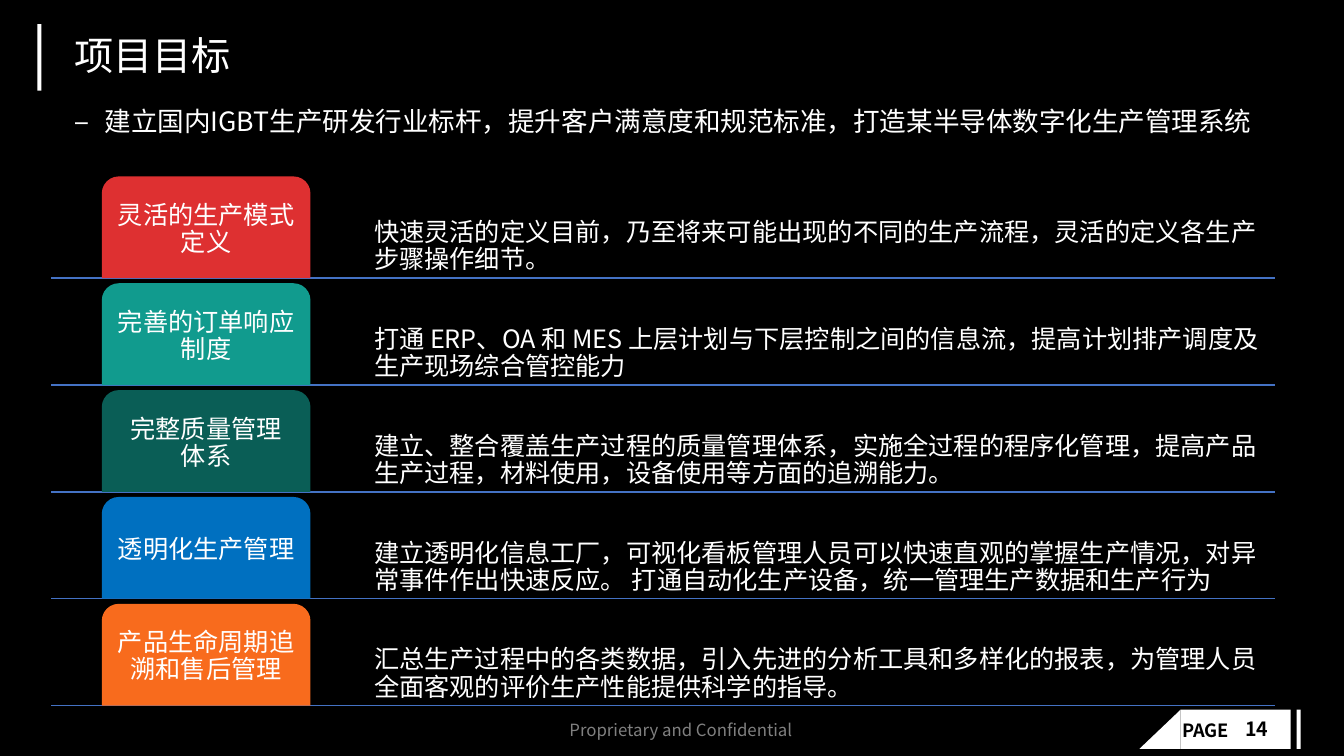
import pptx
import pptx.util
import pptx.dml.color
import pptx.enum.shapes
import pptx.enum.text
import pptx.oxml.ns
from lxml import etree

FONT = "Noto Sans CJK SC"
COLORS = {"black": "000000", "white": "FFFFFF", "gray": "808080", "rule": "4472C4",
          "red": "DE3031", "teal": "119B8E", "green": "0A5E56",
          "blue": "0070C0", "orange": "F86B1D"}
inch = pptx.util.Inches
rgb = pptx.dml.color.RGBColor.from_string
qn = pptx.oxml.ns.qn
MSO = pptx.enum.shapes.MSO_SHAPE
ANCHOR = pptx.enum.text.MSO_ANCHOR
ALIGN = pptx.enum.text.PP_ALIGN

prs = pptx.Presentation()
prs.slide_width, prs.slide_height = inch(13.33), inch(7.5)
s = prs.slides.add_slide(prs.slide_layouts[6])
s.background.fill.solid()
s.background.fill.fore_color.rgb = rgb(COLORS["black"])


def add_block(kind, box, color):
    sp = s.shapes.add_shape(kind, *map(inch, box))
    sp.shadow.inherit = False
    sp.fill.solid()
    sp.fill.fore_color.rgb = rgb(COLORS[color])
    sp.line.fill.background()
    return sp


def add_text(text, box, size, color="white", bold=None, anchor=ANCHOR.TOP, align=ALIGN.LEFT,
             margins=(0.1, 0.05, 0.1, 0.05), spacing=None, wrap=True):
    """Add a one-paragraph text box; margins run left, top, right, bottom in inches."""
    tf = s.shapes.add_textbox(*map(inch, box)).text_frame
    tf.word_wrap = wrap
    tf.vertical_anchor = anchor
    tf.margin_left, tf.margin_top, tf.margin_right, tf.margin_bottom = map(inch, margins)
    p = tf.paragraphs[0]
    p.alignment = align
    p.line_spacing = spacing
    for i, part in enumerate(text.split("\n")):
        if i:
            p.add_line_break()
        r = p.add_run()
        r.text = part
        r.font.size = pptx.util.Pt(size)
        r.font.name = FONT
        r.font.bold = bold
        r.font.color.rgb = rgb(COLORS[color])
        etree.SubElement(r.font._element, qn("a:ea")).set("typeface", FONT)
    return p


# Page tag and footer
for left, width in [(11.71, 1.09), (12.86, 0.04)]:
    add_block(MSO.RECTANGLE, (left, 7.04, width, 0.39), "white")
slope = add_block(MSO.RIGHT_TRIANGLE, (11.3, 7.04, 0.41, 0.39), "white")
slope._element.spPr.find(qn("a:xfrm")).set("flipH", "1")
add_text("PAGE", (11.63, 7.09, 0.73, 0.32), 13, "black", True, wrap=False)
add_text("14", (12.25, 7.09, 0.58, 0.32), 14, "black", True, spacing=0.9)
add_text("Proprietary and Confidential", (5.55, 7.09, 2.56, 0.3), 12, "gray", wrap=False)

# Title and lead statement
add_block(MSO.RECTANGLE, (0.37, 0.24, 0.04, 0.66), "white")
add_text("项目目标", (0.64, 0.2, 12.32, 0.7), 28, anchor=ANCHOR.MIDDLE,
         margins=(0.1, 0.05, 0.12, 0), spacing=0.9)
lead = add_text("建立国内IGBT生产研发行业标杆，提升客户满意度和规范标准，打造某半导体数字化生产管理系统",
                (0.26, 1.03, 12.65, 2.22), 19, spacing=0.9)
pPr = lead._p.get_or_add_pPr()
pPr.set("marL", str(inch(0.68)))
pPr.set("indent", str(inch(-0.3)))
etree.SubElement(pPr, qn("a:buFont")).set("typeface", FONT)
etree.SubElement(pPr, qn("a:buChar")).set("char", "−")

# Goals: one ruled row each
goals = [
    ("red", "灵活的生产模式定义",
     "快速灵活的定义目前，乃至将来可能出现的不同的生产流程，灵活的定义各生产步骤操作细节。"),
    ("teal", "完善的订单响应制度",
     "打通 ERP、OA 和 MES 上层计划与下层控制之间的信息流，提高计划排产调度及生产现场综合管控能力"),
    ("green", "完整质量管理\n体系",
     "建立、整合覆盖生产过程的质量管理体系，实施全过程的程序化管理，提高产品生产过程，材料使用，"
     "设备使用等方面的追溯能力。"),
    ("blue", "透明化生产管理",
     "建立透明化信息工厂，可视化看板管理人员可以快速直观的掌握生产情况，对异常事件作出快速反应。 "
     "打通自动化生产设备，统一管理生产数据和生产行为"),
    ("orange", "产品生命周期追溯和售后管理",
     "汇总生产过程中的各类数据，引入先进的分析工具和多样化的报表，为管理人员全面客观的评价生产性能"
     "提供科学的指导。"),
]
TOP, PITCH, HEIGHT = 1.75, 1.06, 1.01
INSET = (0.04,) * 4
for row, (color, name, detail) in enumerate(goals):
    top = TOP + row * PITCH
    bottom = inch(top + HEIGHT)
    rule = s.shapes.add_connector(pptx.enum.shapes.MSO_CONNECTOR.STRAIGHT,
                                  inch(0.51), bottom, inch(12.65), bottom)
    rule.line.color.rgb = rgb(COLORS["rule"])
    rule.line.width = pptx.util.Pt(1)
    etree.SubElement(rule._element.spPr, qn("a:effectLst"))
    add_text(detail, (3.67, top, 8.98, HEIGHT), 18, anchor=ANCHOR.BOTTOM,
             margins=INSET, spacing=0.9)
    tab = add_block(MSO.ROUND_2_SAME_RECTANGLE, (1.01, top, 2.07, HEIGHT), color)
    tab.adjustments[0], tab.adjustments[1] = 0.167, 0
    add_text(name, (1.06, top + 0.05, 1.97, 0.96), 18, anchor=ANCHOR.MIDDLE,
             align=ALIGN.CENTER, margins=INSET, spacing=0.9)

prs.save("out.pptx")
